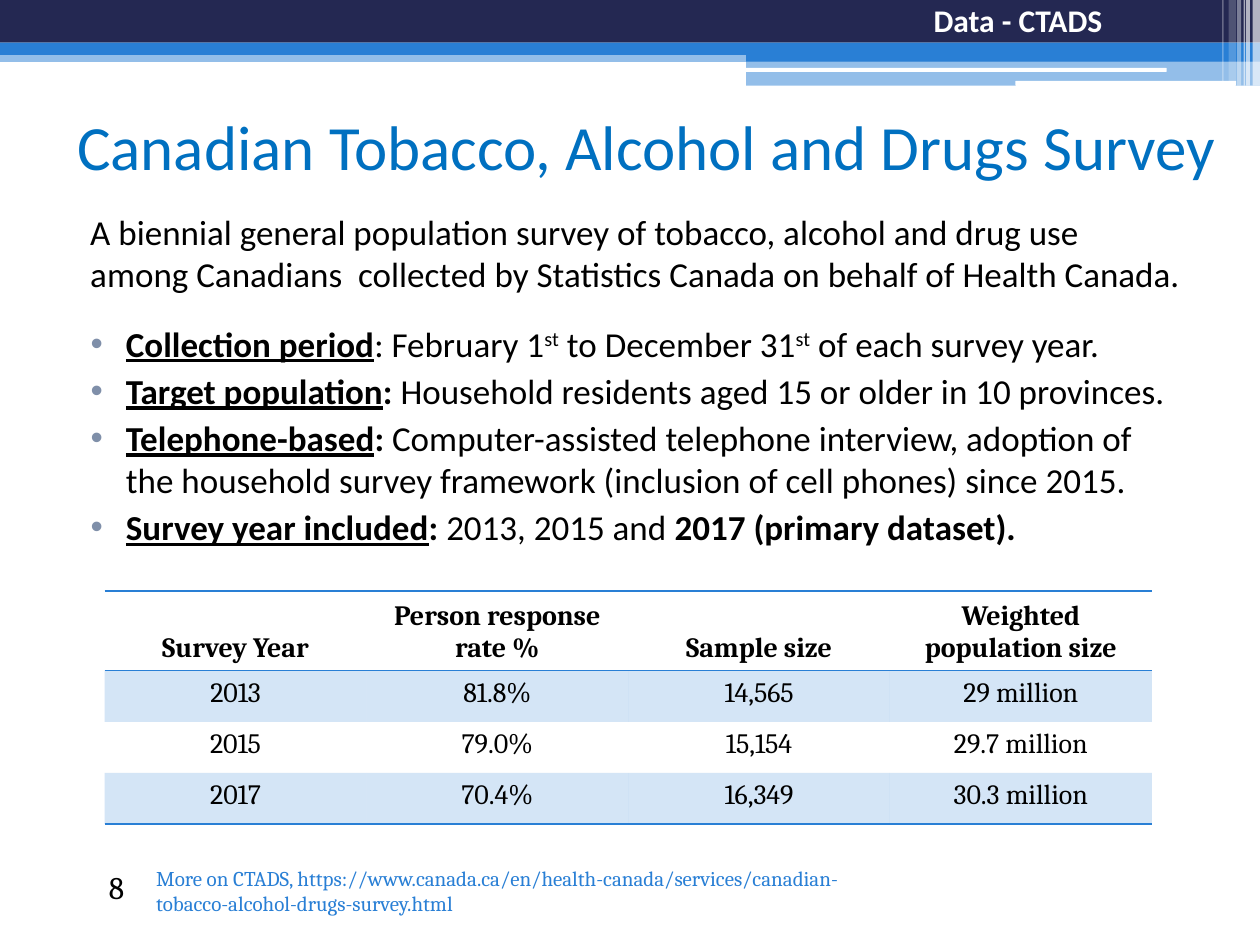
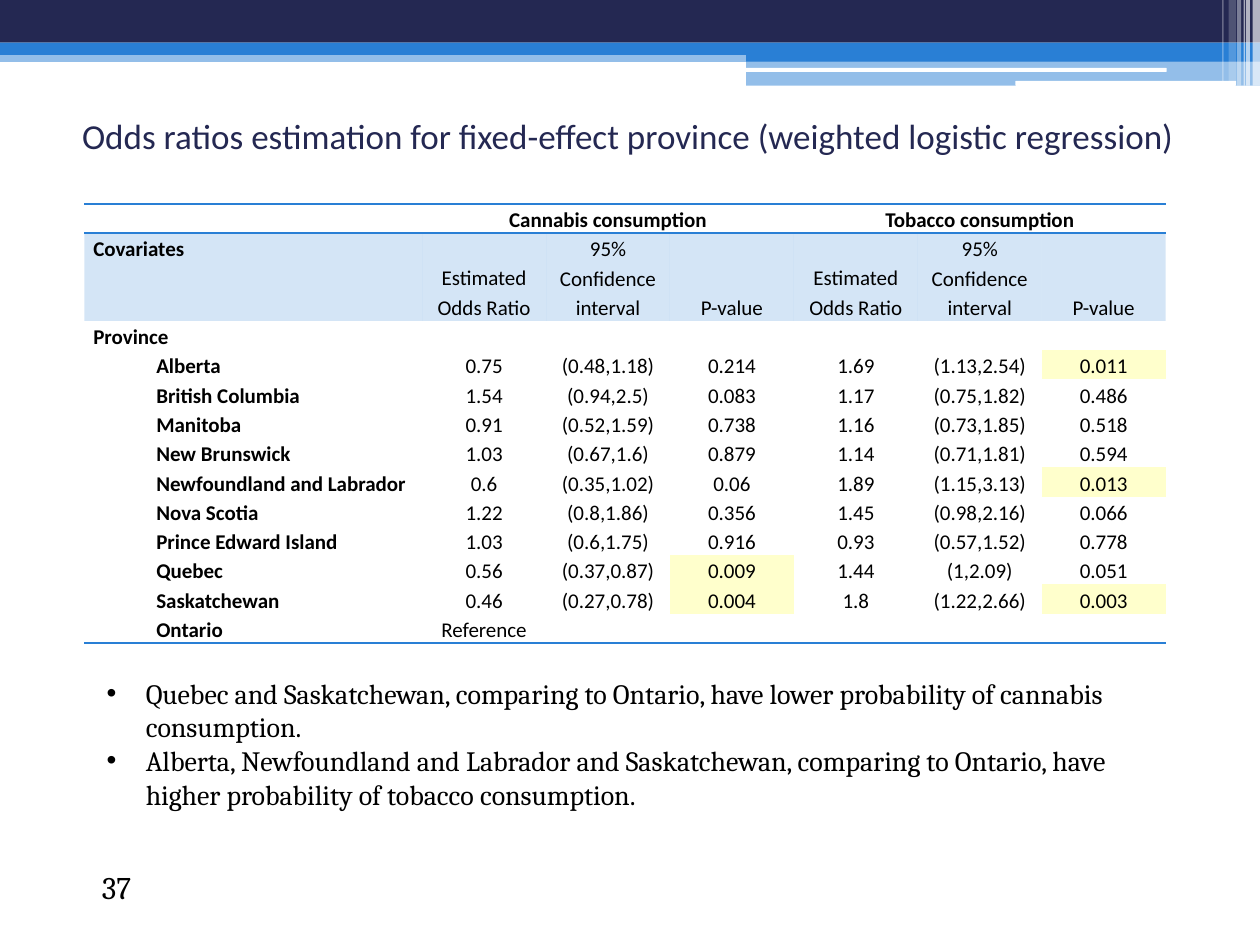
from lxml import etree
from pptx import Presentation
from pptx import util as u
from pptx.dml.color import RGBColor
from pptx.enum import shapes, text
from pptx.oxml.ns import qn

NAVY = RGBColor(0x24, 0x28, 0x52)
BLUE = RGBColor(0x29, 0x7F, 0xD5)
TITLE_BLUE = RGBColor(0x00, 0x70, 0xC0)
BULLET_GREY = RGBColor(0x7F, 0x8F, 0xA9)
HIGHLIGHT = RGBColor(0xFF, 0xFF, 0xCC)
WHITE = RGBColor(0xFF, 0xFF, 0xFF)
BLACK = RGBColor(0x00, 0x00, 0x00)

SANS, SERIF = "Calibri", "Cambria"
LEFT, CENTER = text.PP_ALIGN.LEFT, text.PP_ALIGN.CENTER
TOP, MIDDLE, BOTTOM = text.MSO_ANCHOR.TOP, text.MSO_ANCHOR.MIDDLE, text.MSO_ANCHOR.BOTTOM
RECT, ROUND = shapes.MSO_SHAPE.RECTANGLE, shapes.MSO_SHAPE.ROUNDED_RECTANGLE
NO_TABLE_STYLE = "{2D5ABB26-0587-4C30-8999-92F81FD0307C}"
SLIDE_WIDTH, SLIDE_HEIGHT = 25.4, 19.05
BAND_BOX = (0, 0, SLIDE_WIDTH, 1.73)
PAGE_NUMBER_BOX = (1.3, 17.37, 2.1, 1.02)
SIGNIFICANCE = 0.05

BANDS = [
    (RECT, 0, 1.02, 25.4, 0.23, BLUE, 50),
    (RECT, 0, 0, 25.4, 0.86, NAVY, 100),
    (RECT, 0, 0.86, 25.4, 0.25, BLUE, 100),
    (RECT, 15.04, 0.99, 10.36, 0.25, BLUE, 100),
    (RECT, 15.04, 1.22, 10.36, 0.51, BLUE, 50),
    (ROUND, 15.01, 1.37, 8.51, 0.08, WHITE, 100),
    (ROUND, 20.47, 1.63, 4.45, 0.1, WHITE, 100),
    (RECT, 25.25, 0, 0.15, 1.73, WHITE, 65),
    (RECT, 25.12, 0, 0.08, 1.73, WHITE, 65),
    (RECT, 25.07, 0, 0.03, 1.73, WHITE, 60),
    (RECT, 24.94, 0, 0.08, 1.73, WHITE, 40),
    (RECT, 24.77, 0, 0.15, 1.63, WHITE, 20),
    (RECT, 24.64, 0, 0.03, 1.63, WHITE, 30),
]

SURVEY_INTRO = (
    "A biennial general population survey of tobacco, alcohol and drug use among "
    "Canadians  collected by Statistics Canada on behalf of Health Canada."
)
SURVEY_FACTS = [
    [("Collection period", "bold underline"), (": February 1", ""), ("st", "super"),
     (" to December 31", ""), ("st", "super"), (" of each survey year.", "")],
    [("Target population", "bold underline"), (": ", "bold"),
     ("Household residents aged 15 or older in 10 provinces.", "")],
    [("Telephone-based", "bold underline"), (":", "bold"),
     (" Computer-assisted telephone interview, adoption of the household survey "
      "framework (inclusion of cell phones) since 2015.", "")],
    [("Survey year included", "bold underline"), (": ", "bold"),
     ("2013, 2015 and ", ""), ("2017 (primary dataset).", "bold")],
]
SURVEY_ROWS = [
    ("Survey Year", "Person response rate %", "Sample size", "Weighted population size"),
    ("2013", "81.8%", "14,565", "29 million"),
    ("2015", "79.0%", "15,154", "29.7 million"),
    ("2017", "70.4%", "16,349", "30.3 million"),
]
SOURCE_NOTE = (
    "More on CTADS, https://www.canada.ca/en/health-canada/services/"
    "canadian-tobacco-alcohol-drugs-survey.html"
)

MEASURES = ("Estimated Odds Ratio", "95% Confidence interval", "P-value")
ODDS_ROWS = [
    ("", "Cannabis consumption", "", "", "Tobacco consumption", "", ""),
    ("Covariates", *MEASURES, *MEASURES),
    ("Province", "", "", "", "", "", ""),
    ("Alberta", "0.75", "(0.48,1.18)", "0.214", "1.69", "(1.13,2.54)", "0.011"),
    ("British Columbia", "1.54", "(0.94,2.5)", "0.083", "1.17", "(0.75,1.82)", "0.486"),
    ("Manitoba", "0.91", "(0.52,1.59)", "0.738", "1.16", "(0.73,1.85)", "0.518"),
    ("New Brunswick", "1.03", "(0.67,1.6)", "0.879", "1.14", "(0.71,1.81)", "0.594"),
    ("Newfoundland and Labrador", "0.6", "(0.35,1.02)", "0.06", "1.89", "(1.15,3.13)", "0.013"),
    ("Nova Scotia", "1.22", "(0.8,1.86)", "0.356", "1.45", "(0.98,2.16)", "0.066"),
    ("Prince Edward Island", "1.03", "(0.6,1.75)", "0.916", "0.93", "(0.57,1.52)", "0.778"),
    ("Quebec", "0.56", "(0.37,0.87)", "0.009", "1.44", "(1,2.09)", "0.051"),
    ("Saskatchewan", "0.46", "(0.27,0.78)", "0.004", "1.8", "(1.22,2.66)", "0.003"),
    ("Ontario", "Reference", "", "", "", "", ""),
]
ODDS_FINDINGS = [
    "Quebec and Saskatchewan, comparing to Ontario, have lower probability of "
    "cannabis consumption.",
    "Alberta, Newfoundland and Labrador and Saskatchewan, comparing to Ontario, "
    "have higher probability of tobacco consumption.",
]


def lengths(box):
    return [u.Cm(value) for value in box]


def paint(fill, element, color, opacity=100):
    fill.solid()
    fill.fore_color.rgb = color
    if opacity < 100:
        color_element = element.find(".//" + qn("a:srgbClr"))
        etree.SubElement(color_element, qn("a:alpha"), val=str(opacity * 1000))


def format_run(run, size, font, color, style=""):
    run.font.size = u.Pt(size)
    run.font.name = font
    run.font.color.rgb = color
    run.font.bold = "bold" in style
    if "underline" in style:
        run.font.underline = True
    if "super" in style:
        run.font._element.set("baseline", "30000")


def write(paragraph, content, size, font, color=BLACK, style="", align=LEFT):
    pieces = [(content, style)] if isinstance(content, str) else content
    for piece, piece_style in pieces:
        run = paragraph.add_run()
        run.text = piece
        format_run(run, size, font, color, piece_style)
    paragraph.alignment = align


def set_indent(paragraph, left, first=0):
    properties = paragraph._p.get_or_add_pPr()
    properties.set("marL", str(u.Cm(left)))
    properties.set("indent", str(u.Cm(first)))
    return properties


def add_bullet(paragraph, left, hanging, color):
    properties = set_indent(paragraph, left, -hanging)
    bullet_color = etree.SubElement(properties, qn("a:buClr"))
    etree.SubElement(bullet_color, qn("a:srgbClr"), val=str(color))
    etree.SubElement(properties, qn("a:buFont"), typeface="Arial")
    etree.SubElement(properties, qn("a:buChar"), char="•")


def add_text_frame(slide, box, anchor=TOP, wrap=True):
    frame = slide.shapes.add_textbox(*lengths(box)).text_frame
    frame.word_wrap = wrap
    frame.vertical_anchor = anchor
    return frame


def add_label(slide, box, content, size, font, color=BLACK, style="",
              align=LEFT, anchor=TOP, wrap=True):
    frame = add_text_frame(slide, box, anchor, wrap)
    write(frame.paragraphs[0], content, size, font, color, style, align)


def add_bands(slide, box):
    left, top, _, _ = box
    for kind, x, y, width, height, color, opacity in BANDS:
        band = slide.shapes.add_shape(kind, *lengths((left + x, top + y, width, height)))
        band.shadow.inherit = False
        band.line.fill.background()
        paint(band.fill, band._element, color, opacity)


def set_title(slide, box, content, size, color):
    title = slide.shapes.title
    title.left, title.top, title.width, title.height = lengths(box)
    frame = title.text_frame
    frame.word_wrap = True
    frame.auto_size = text.MSO_AUTO_SIZE.NONE
    frame.vertical_anchor = MIDDLE
    write(frame.paragraphs[0], content, size, SANS, color)
    return frame.paragraphs[0]


def add_base_slide(presentation, page_number):
    slide = presentation.slides.add_slide(presentation.slide_layouts[5])
    add_bands(slide, BAND_BOX)
    add_label(slide, PAGE_NUMBER_BOX, page_number, 18, SERIF, align=CENTER, anchor=BOTTOM)
    return slide


def add_plain_table(slide, box, column_widths, row_heights):
    frame = slide.shapes.add_table(len(row_heights), len(column_widths), *lengths(box))
    frame._element.find(".//" + qn("a:tableStyleId")).text = NO_TABLE_STYLE
    table = frame.table
    table.first_row = table.horz_banding = False
    for column, width in zip(table.columns, column_widths):
        column.width = u.Cm(width)
    for row, height in zip(table.rows, row_heights):
        row.height = u.Cm(height)
    return table


def fill_cell(cell, color=None, opacity=100):
    if color is None:
        cell.fill.background()
    else:
        paint(cell.fill, cell._tc, color, opacity)


def rule_cell(cell, *sides):
    properties = cell._tc.get_or_add_tcPr()
    for position, side in enumerate(sides):
        line = etree.Element(qn("a:" + side), w=str(u.Pt(1)))
        solid = etree.SubElement(line, qn("a:solidFill"))
        etree.SubElement(solid, qn("a:srgbClr"), val=str(BLUE))
        properties.insert(position, line)


def rule_row(table, row_index, *sides):
    for cell in table.rows[row_index].cells:
        rule_cell(cell, *sides)


def add_survey_facts(slide, box):
    frame = add_text_frame(slide, box)
    intro = frame.paragraphs[0]
    write(intro, SURVEY_INTRO, 20, SANS)
    set_indent(intro, 0.3)
    intro.space_before = u.Pt(3)
    for index, fact in enumerate(SURVEY_FACTS):
        paragraph = frame.add_paragraph()
        write(paragraph, fact, 20, SANS)
        paragraph.space_before = u.Pt(3 if index else 16)
        add_bullet(paragraph, 1.02, 0.71, BULLET_GREY)


def add_survey_table(slide, box):
    columns = len(SURVEY_ROWS[0])
    table = add_plain_table(slide, box, [box[2] / columns] * columns, [1.61, 1.03, 1.03, 1.03])
    for row_index, values in enumerate(SURVEY_ROWS):
        header = row_index == 0
        for column_index, value in enumerate(values):
            cell = table.cell(row_index, column_index)
            fill_cell(cell, BLUE if row_index % 2 else None, 20)
            cell.vertical_anchor = BOTTOM if header else TOP
            write(cell.text_frame.paragraphs[0], value, 16, SERIF,
                  style="bold" if header else "", align=CENTER)
    rule_row(table, 0, "lnT", "lnB")
    rule_row(table, len(SURVEY_ROWS) - 1, "lnB")


def add_odds_table(slide, box):
    name_width, line_height = 6.81, 0.59
    value_width = (box[2] - name_width) / 6
    heights = [line_height * (3 if index == 1 else 1) for index in range(len(ODDS_ROWS))]
    table = add_plain_table(slide, box, [name_width] + [value_width] * 6, heights)
    for row_index, values in enumerate(ODDS_ROWS):
        for column_index, value in enumerate(values):
            cell = table.cell(row_index, column_index)
            is_name = column_index == 0
            is_p_value = row_index > 2 and column_index in (3, 6) and value
            if row_index == 1:
                fill_cell(cell, BLUE, 20)
            elif is_p_value and float(value) < SIGNIFICANCE:
                fill_cell(cell, HIGHLIGHT)
            else:
                fill_cell(cell)
            cell.margin_left = cell.margin_right = u.Cm(0.18)
            cell.margin_top = cell.margin_bottom = 0
            cell.vertical_anchor = BOTTOM if row_index == 1 and not is_name else TOP
            paragraph = cell.text_frame.paragraphs[0]
            paragraph.line_spacing = 1.15
            if value:
                write(paragraph, value, 12, SANS, style="bold" if is_name or row_index == 0 else "",
                      align=LEFT if is_name else CENTER)
            else:
                etree.SubElement(paragraph._p, qn("a:endParaRPr"), sz="1200")
            if is_name and row_index > 2:
                set_indent(paragraph, 1.27)
    for first in (1, 4):
        table.cell(0, first).merge(table.cell(0, first + 2))
    rule_row(table, 0, "lnT", "lnB")
    rule_row(table, len(ODDS_ROWS) - 1, "lnB")


def add_findings(slide, box):
    frame = add_text_frame(slide, box)
    for index, finding in enumerate(ODDS_FINDINGS):
        paragraph = frame.add_paragraph() if index else frame.paragraphs[0]
        write(paragraph, finding, 16, SERIF)
        add_bullet(paragraph, 0.79, 0.79, BLACK)


def build_survey_slide(presentation):
    slide = add_base_slide(presentation, "8")
    set_title(slide, (1.3, 1.73, 24.1, 2.39),
              "Canadian Tobacco, Alcohol and Drugs Survey", 36, TITLE_BLUE)
    add_label(slide, (18.57, -0.1, 4.55, 1.02), "Data - CTADS", 18, SANS, WHITE, "bold", wrap=False)
    add_survey_facts(slide, (1.27, 4.11, 22.86, 7.59))
    add_survey_table(slide, (2.11, 11.91, 21.11, 4.7))
    add_label(slide, (2.9, 17.32, 15.01, 1.19), SOURCE_NOTE, 12, SERIF, BLUE)


def build_odds_slide(presentation):
    slide = add_base_slide(presentation, "37")
    title = set_title(slide, (1.3, 1.73, 22.86, 2.01),
                      "Odds ratios estimation for fixed-effect province "
                      "(weighted logistic regression)", 20, NAVY)
    set_indent(title, 1.07, -0.97)
    add_odds_table(slide, (1.7, 4.11, 21.8, 8.91))
    add_findings(slide, (1.9, 13.51, 22, 3.76))


def main():
    presentation = Presentation()
    presentation.slide_width = u.Cm(SLIDE_WIDTH)
    presentation.slide_height = u.Cm(SLIDE_HEIGHT)
    build_survey_slide(presentation)
    build_odds_slide(presentation)
    presentation.save("out.pptx")


if __name__ == "__main__":
    main()
